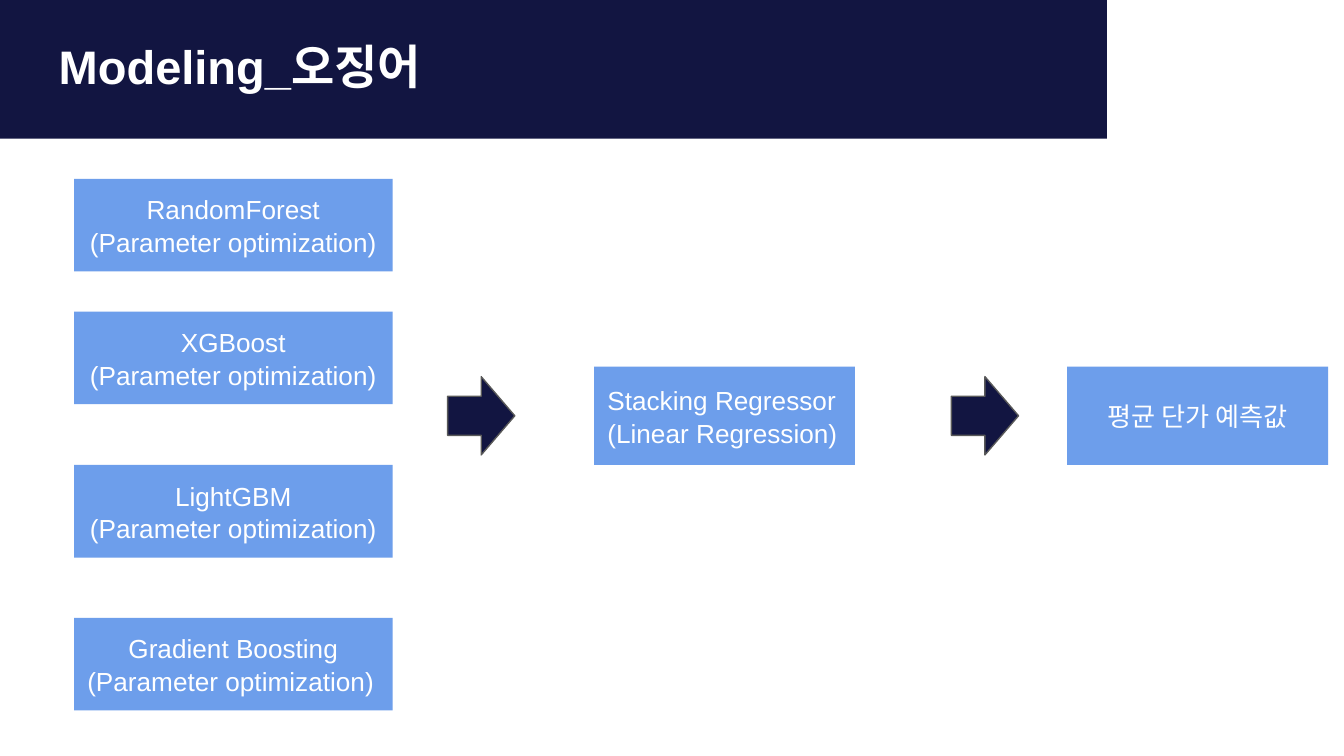
import pptx
import pptx.util
import pptx.dml.color
import pptx.enum.shapes
import pptx.enum.text

Cm = pptx.util.Cm
Pt = pptx.util.Pt
SHAPE = pptx.enum.shapes.MSO_SHAPE
ANCHOR = pptx.enum.text.MSO_ANCHOR
LEFT = pptx.enum.text.PP_ALIGN.LEFT
CENTER = pptx.enum.text.PP_ALIGN.CENTER

NAVY, BLUE, GRAY, WHITE = "121541", "6D9EEB", "595959", "FFFFFF"
FONT = "Arial"

TITLE = "Modeling_오징어"
TUNING = "(Parameter optimization)"
MODELS = [
    ("RandomForest", 3.38, CENTER),
    ("XGBoost", 5.89, CENTER),
    ("LightGBM", 8.79, CENTER),
    ("Gradient Boosting", 11.68, LEFT),
]
STAGES = [
    (["Stacking Regressor", "(Linear Regression)"], 11.23, LEFT),
    (["평균 단가 예측값"], 20.17, CENTER),
]
ARROW_LEFTS = [8.46, 17.98]
MODEL_LEFT, MODEL_WIDTH, MODEL_HEIGHT = 1.4, 6.02, 1.75
STAGE_WIDTH, STAGE_HEIGHT = 4.93, 1.86
ARROW_WIDTH, ARROW_HEIGHT = 1.27, 1.48
FLOW_MIDDLE = 7.86


def color(value):
    return pptx.dml.color.RGBColor.from_string(value)


def add_shape(slide, kind, left, top, width, height, fill):
    shape = slide.shapes.add_shape(kind, Cm(left), Cm(top), Cm(width), Cm(height))
    shape.shadow.inherit = False
    shape.fill.solid()
    shape.fill.fore_color.rgb = color(fill)
    shape.line.fill.background()
    return shape


def format_text(text_frame, size, alignments, bold=False):
    text_frame.word_wrap = True
    text_frame.margin_left = text_frame.margin_right = Cm(0.25)
    text_frame.margin_top = text_frame.margin_bottom = Cm(0.25)
    for paragraph, alignment in zip(text_frame.paragraphs, alignments):
        paragraph.alignment = alignment
        for run in paragraph.runs:
            run.font.name = FONT
            run.font.size = Pt(size)
            run.font.bold = bold
            run.font.color.rgb = color(WHITE)


def add_box(slide, lines, alignments, left, top, width, height):
    box = add_shape(slide, SHAPE.RECTANGLE, left, top, width, height, BLUE)
    box.text_frame.text = "\n".join(lines)
    box.text_frame.vertical_anchor = ANCHOR.MIDDLE
    format_text(box.text_frame, 14, alignments)
    for paragraph in box.text_frame.paragraphs:
        paragraph.line_spacing = 1.05


def add_title(slide):
    band = add_shape(slide, SHAPE.RECTANGLE, -0.08, -0.13, 21, 2.75, NAVY)
    title = slide.shapes.title
    title._element.addprevious(band._element)
    title.left, title.top = Cm(0.86), Cm(0.46)
    title.width, title.height = Cm(23.67), Cm(1.6)
    title.text_frame.text = TITLE
    title.text_frame.vertical_anchor = ANCHOR.TOP
    title.text_frame.auto_size = pptx.enum.text.MSO_AUTO_SIZE.NONE
    format_text(title.text_frame, 25.2, [LEFT], bold=True)


def main():
    presentation = pptx.Presentation()
    presentation.slide_width, presentation.slide_height = Cm(25.4), Cm(14.29)
    slide = presentation.slides.add_slide(presentation.slide_layouts[5])
    add_title(slide)

    for name, top, tuning_alignment in MODELS:
        add_box(slide, [name, TUNING], [CENTER, tuning_alignment],
                MODEL_LEFT, top, MODEL_WIDTH, MODEL_HEIGHT)

    for lines, left, alignment in STAGES:
        add_box(slide, lines, [alignment] * len(lines),
                left, FLOW_MIDDLE - STAGE_HEIGHT / 2, STAGE_WIDTH, STAGE_HEIGHT)

    for left in ARROW_LEFTS:
        arrow = add_shape(slide, SHAPE.RIGHT_ARROW, left,
                          FLOW_MIDDLE - ARROW_HEIGHT / 2,
                          ARROW_WIDTH, ARROW_HEIGHT, NAVY)
        arrow.line.color.rgb = color(GRAY)
        arrow.line.width = Pt(0.75)

    presentation.save("out.pptx")


if __name__ == "__main__":
    main()
